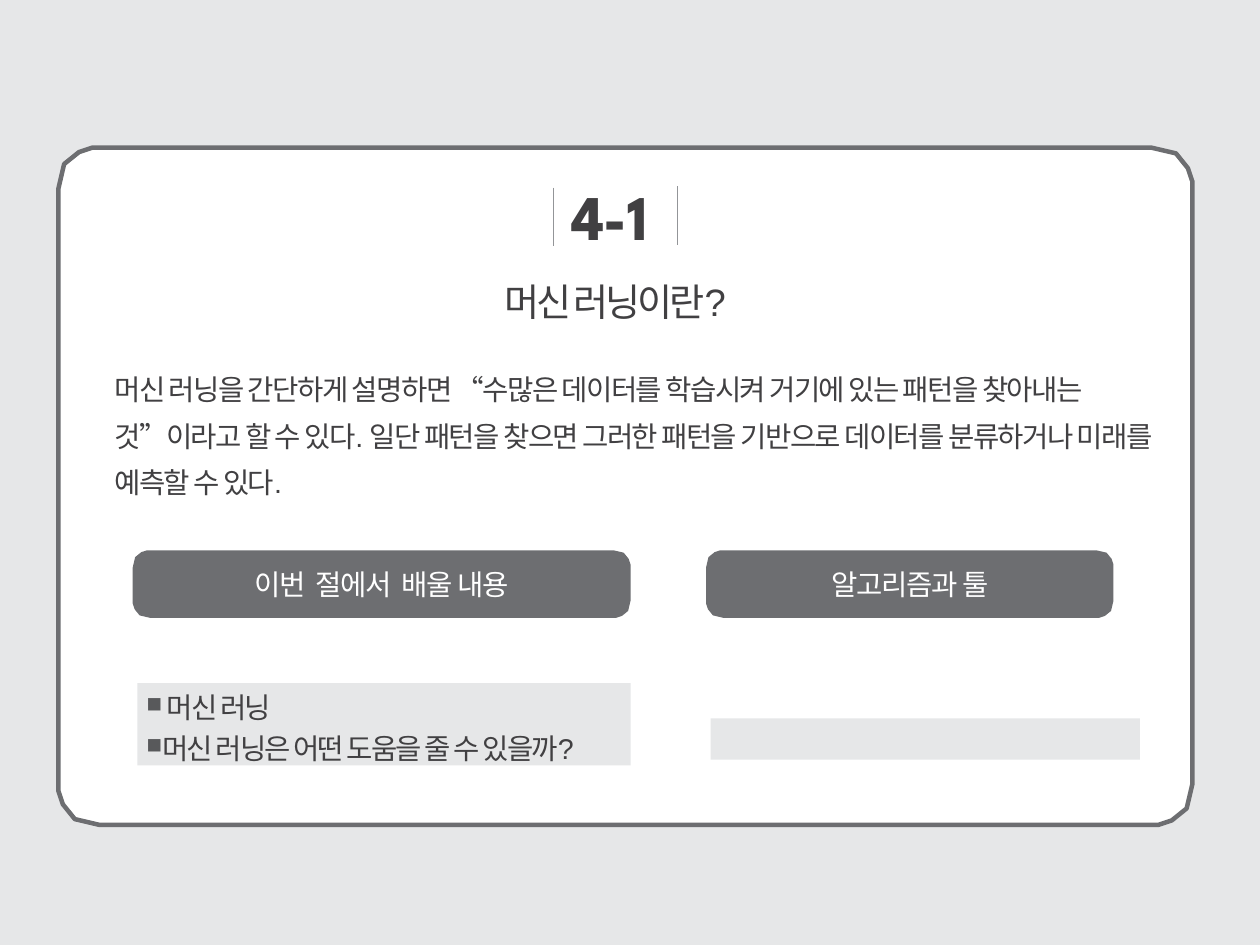
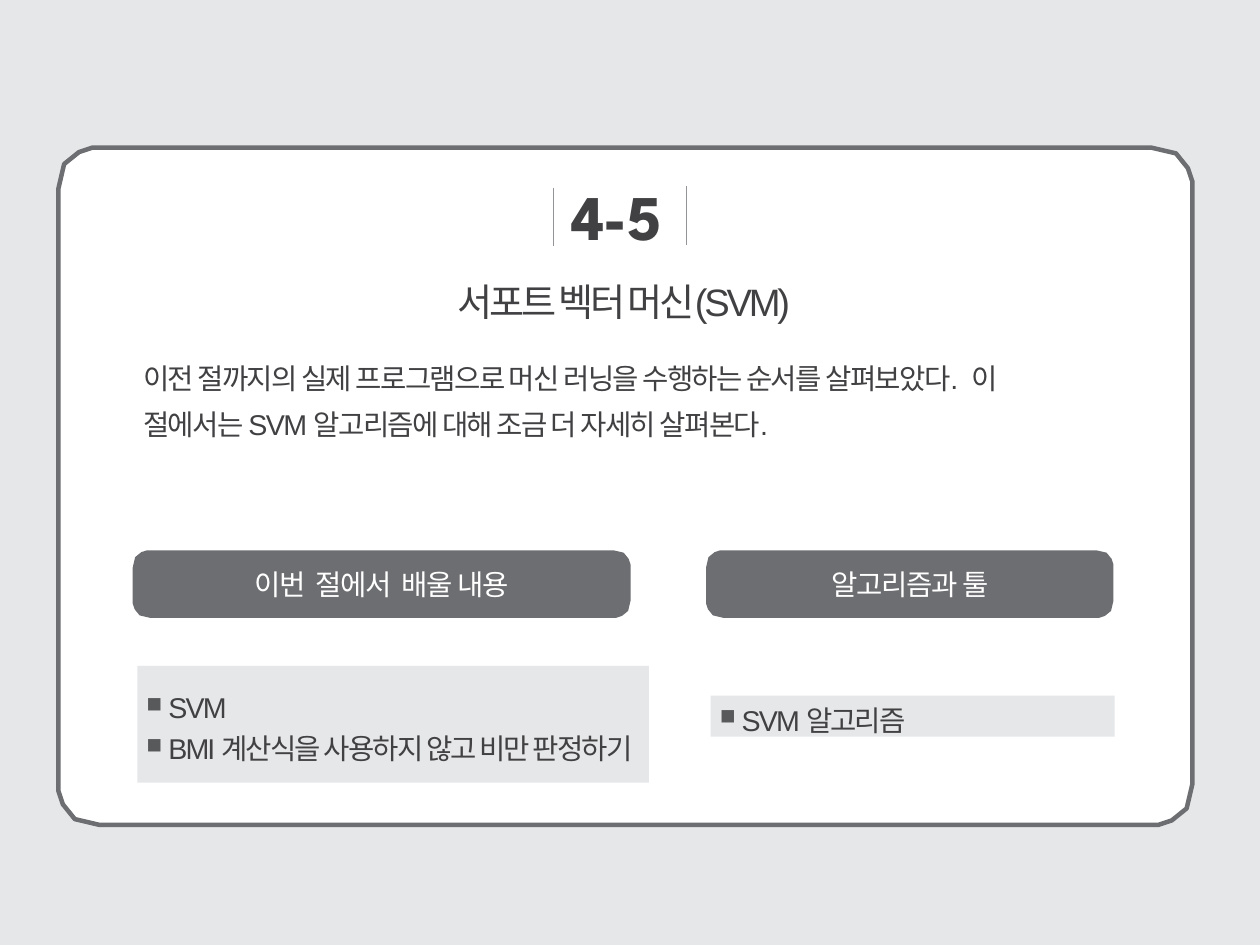
from dataclasses import dataclass
from typing import Optional

from lxml.etree import SubElement
from pptx import Presentation
from pptx.dml.color import RGBColor
from pptx.enum.shapes import MSO_CONNECTOR, MSO_SHAPE
from pptx.enum.text import MSO_ANCHOR, MSO_AUTO_SIZE, PP_ALIGN
from pptx.oxml.ns import qn
from pptx.shapes.autoshape import Shape
from pptx.slide import Slide
from pptx.text.text import TextFrame
from pptx.util import Inches, Pt

# The grid has cells of a tenth of an inch.
CELL = Inches(0.1)
COLS, ROWS = 110.1, 82.6


@dataclass(frozen=True)
class Font:
    face: str
    size: float
    color: str
    track: float
    bold: bool = False


@dataclass(frozen=True)
class Theme:
    back: str = "E6E7E8"
    card: str = "FFFFFF"
    dark: str = "6D6E71"
    rule: str = "939598"
    mark: str = "58595B"
    number: Font = Font("League Spartan", 40, "414042", -0.4, True)
    title: Font = Font("Arial", 24, "414042", -2)
    body: Font = Font("Arial", 18, "414042", -1)
    item: Font = Font("Arial", 18, "414042", -1.2)
    label: Font = Font("Courier New", 18, "FFFFFF", -0.7)


@dataclass(frozen=True)
class Box:
    """A place on the grid, in columns and rows."""
    left: float
    top: float
    width: float
    height: float

    def emu(self) -> tuple[int, ...]:
        return tuple(grid(n) for n in (self.left, self.top, self.width, self.height))


@dataclass(frozen=True)
class Pill:
    text: str
    box: Box


@dataclass(frozen=True)
class Panel:
    box: Box
    items: tuple[str, ...] = ()


@dataclass(frozen=True)
class Page:
    number: str
    end: float
    title: str
    head: Box
    body: str
    text: Box
    panels: tuple[Panel, ...]


THEME = Theme()
CARD = Box(5.1, 12.9, 99.1, 59.2)
NUMBER = Box(49.9, 15.5, 10.4, 6.7)
RULE = 48.4
# A cut corner: share of the radius along the edge, then away from it.
CORNER = ((1, 0), (0.83, 0), (0.5, 0.11), (0.14, 0.4), (0, 1))
PILLS = (
    Pill("이번  절에서  배울 내용", Box(11.6, 48.1, 43.5, 5.9)),
    Pill("알고리즘과 툴", Box(61.7, 48.1, 35.6, 5.9)),
)
PAGES = (
    Page(
        "4-1", 59.2, "머신 러닝이란?", Box(44.1, 24.3, 22.5, 4),
        "머신 러닝을 간단하게 설명하면 “수많은 데이터를 학습시켜 거기에 있는 "
        "패턴을 찾아내는 것”이라고 할 수 있다. 일단 패턴을 찾으면 그러한 패턴을 "
        "기반으로 데이터를 분류하거나 미래를 예측할 수 있다.",
        Box(10, 31.5, 90.8, 12.3),
        (
            Panel(Box(12, 59.7, 43.1, 7.2),
                  (" 머신 러닝", "머신 러닝은 어떤 도움을 줄 수 있을까?")),
            Panel(Box(62.1, 62.8, 37.5, 3.6)),
        ),
    ),
    Page(
        "4-5", 60, "서포트 벡터 머신(SVM)", Box(40, 24.3, 31.7, 4),
        "이전 절까지의 실제 프로그램으로 머신 러닝을 수행하는 순서를 "
        "살펴보았다.  이 절에서는 SVM 알고리즘에 대해 조금 더 자세히 살펴본다.",
        Box(12.5, 30.5, 81.7, 8.2),
        (
            Panel(Box(12, 58.2, 44.7, 10.2),
                  (" SVM", " BMI 계산식을 사용하지 않고 비만 판정하기")),
            Panel(Box(62.1, 60.8, 35.3, 3.6), (" SVM 알고리즘",)),
        ),
    ),
)


def grid(cells: float) -> int:
    return round(cells * CELL)


def color(code: str) -> RGBColor:
    return RGBColor.from_string(code)


def write(frame: TextFrame, text: str, font: Font,
          align: PP_ALIGN = PP_ALIGN.LEFT,
          anchor: MSO_ANCHOR = MSO_ANCHOR.TOP) -> None:
    """Fill a frame without margins; each line of text is a paragraph."""
    frame.text = text
    frame.word_wrap = True
    frame.auto_size = MSO_AUTO_SIZE.NONE
    frame.vertical_anchor = anchor
    frame.margin_left = frame.margin_right = 0
    frame.margin_top = frame.margin_bottom = 0
    for line in frame.paragraphs:
        line.alignment = align
        for run in line.runs:
            run.font.name = font.face
            run.font.size = Pt(font.size)
            run.font.bold = font.bold
            run.font.color.rgb = color(font.color)
            run._r.get_or_add_rPr().set("spc", str(round(font.track * 100)))


def paint(shape: Shape, fill: str, edge: Optional[str] = None) -> None:
    shape.shadow.inherit = False
    shape.fill.solid()
    shape.fill.fore_color.rgb = color(fill)
    if edge:
        shape.line.color.rgb = color(edge)
        shape.line.width = Pt(2.83)
    else:
        shape.line.fill.background()


def cut(slide: Slide, box: Box, size: float) -> Shape:
    """Draw a box whose corners are all the same profile, turned."""
    right, foot = box.left + box.width, box.top + box.height
    dots = []
    for a, b in CORNER:
        dots.append((box.left + a * size, box.top + b * size))
    for a, b in CORNER:
        dots.append((box.left + b * size, foot - a * size))
    for a, b in CORNER:
        dots.append((right - a * size, foot - b * size))
    for a, b in CORNER:
        dots.append((right - b * size, box.top + a * size))
    first, *rest = [(grid(x), grid(y)) for x, y in dots]
    pen = slide.shapes.build_freeform(*first)
    pen.add_line_segments(rest, close=True)
    return pen.convert_to_shape()


def stroke(slide: Slide, col: float, top: float) -> None:
    line = slide.shapes.add_connector(
        MSO_CONNECTOR.STRAIGHT, grid(col), grid(top), grid(col), grid(top + 5.1))
    line.line.color.rgb = color(THEME.rule)
    line.line.width = Pt(0.5)
    SubElement(line._element.spPr, qn("a:effectLst"))


def label(slide: Slide, box: Box, text: str, font: Font) -> TextFrame:
    frame = slide.shapes.add_textbox(*box.emu()).text_frame
    write(frame, text, font)
    return frame


def bullet(frame: TextFrame) -> None:
    for line in frame.paragraphs:
        line.space_before = Pt(4)
        props = line._p.get_or_add_pPr()
        props.set("marL", str(Inches(0.2)))
        props.set("indent", str(Inches(-0.12)))
        tint = SubElement(props, qn("a:buClr"))
        SubElement(tint, qn("a:srgbClr"), val=THEME.mark)
        SubElement(props, qn("a:buSzPct"), val="75000")
        SubElement(props, qn("a:buChar"), char="■")


def list_box(slide: Slide, panel: Panel) -> None:
    shape = slide.shapes.add_shape(MSO_SHAPE.RECTANGLE, *panel.box.emu())
    paint(shape, THEME.back)
    if panel.items:
        frame = shape.text_frame
        write(frame, "\n".join(panel.items), THEME.item, anchor=MSO_ANCHOR.MIDDLE)
        frame.margin_top = Inches(0.06)
        bullet(frame)


def head(slide: Slide, page: Page) -> None:
    """Place the title and bring it in front of the card."""
    title = slide.shapes.title
    title.left, title.top, title.width, title.height = page.head.emu()
    write(title.text_frame, page.title, THEME.title)
    slide.shapes._spTree.append(title._element)


def frame_up(slide: Slide) -> None:
    """Draw what every slide shares."""
    back = slide.background.fill
    back.solid()
    back.fore_color.rgb = color(THEME.back)
    paint(cut(slide, CARD, 3.6), THEME.card, THEME.dark)
    stroke(slide, RULE, 16.4)
    for pill in PILLS:
        shape = cut(slide, pill.box, 1.5)
        paint(shape, THEME.dark)
        write(shape.text_frame, pill.text, THEME.label,
              PP_ALIGN.CENTER, MSO_ANCHOR.MIDDLE)


def build(slide: Slide, page: Page) -> None:
    frame_up(slide)
    stroke(slide, page.end, 16.3)
    label(slide, NUMBER, page.number, THEME.number)
    head(slide, page)
    for panel in page.panels:
        list_box(slide, panel)
    body = label(slide, page.text, page.body, THEME.body)
    body.paragraphs[0].line_spacing = 1.35


def main() -> None:
    deck = Presentation()
    deck.slide_width, deck.slide_height = grid(COLS), grid(ROWS)
    plain = deck.slide_layouts.get_by_name("Title Only")
    for page in PAGES:
        build(deck.slides.add_slide(plain), page)
    deck.save("out.pptx")


if __name__ == "__main__":
    main()
